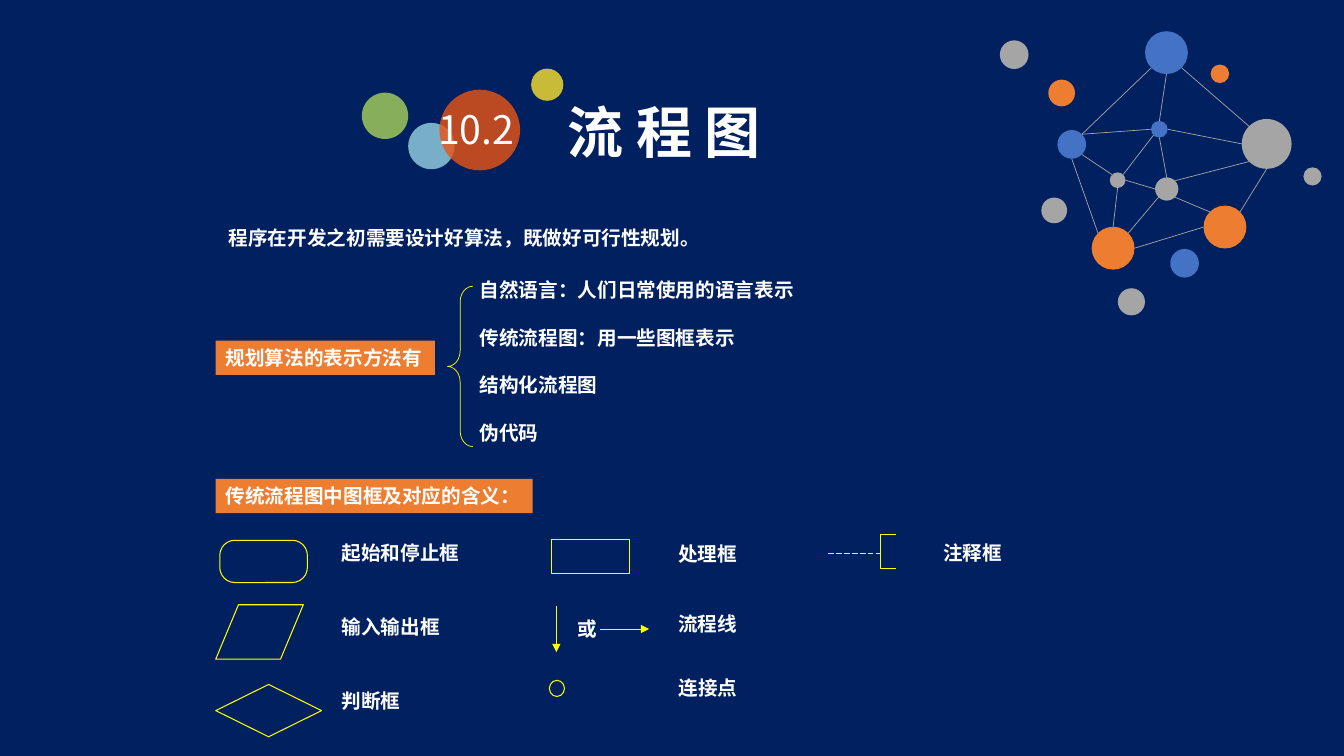
from math import cos, radians, sin

from lxml.etree import SubElement
from pptx import Presentation
from pptx.dml.color import RGBColor
from pptx.enum.dml import MSO_LINE_DASH_STYLE as Dash
from pptx.enum.shapes import MSO_CONNECTOR as Connector, MSO_SHAPE as Shape
from pptx.enum.text import MSO_ANCHOR as Anchor, MSO_AUTO_SIZE as AutoSize, PP_ALIGN as Align
from pptx.oxml.ns import qn
from pptx.util import Pt

FONT = "Noto Sans CJK SC"
COLORS = {
    "navy": "002060", "white": "FFFFFF", "outline": "FFFF00",
    "blue": "4472C4", "orange": "ED7D31", "gray": "A5A5A5",
    "yellow": "FBE22D", "green": "A9D25A", "sky": "98D2E3", "red": "EA5514",
}
ANGLES = {"E": 0, "SE": 45, "S": 90, "SW": 135, "W": 180, "NW": 225, "N": 270, "NE": 315}
LABEL_SIZE = 14
LABEL_HEIGHT = 24.5

TITLE_CIRCLES = [
    (379.4, 49, 23, "yellow"),
    (258.5, 66.2, 33.1, "green"),
    (291.6, 87.8, 33.1, "sky"),
    (313.9, 64.1, 57.6, "red"),
]
NODES = {
    "top": (817.9, 22.3, 30.6, "blue"),
    "base": (779.8, 162, 30.6, "orange"),
    "hub": (825.1, 126.7, 16.6, "gray"),
    "west": (755.3, 92.9, 20.5, "blue"),
    "east": (887, 85, 35.6, "gray"),
    "core": (822.2, 86.4, 11.9, "blue"),
    "southeast": (859.7, 146.9, 30.6, "orange"),
    "dot": (792.7, 123.1, 11.2, "gray"),
}
LOOSE_CIRCLES = [
    (864.7, 46.1, 13.3, "orange"),
    (835.9, 177.8, 20.5, "blue"),
    (748.8, 56.9, 19.1, "orange"),
    (714.2, 28.8, 20.5, "gray"),
    (798.5, 205.9, 19.4, "gray"),
    (743.8, 141.1, 18.4, "gray"),
    (931, 119.5, 13, "gray"),
]
EDGES = [
    ("top", "SE", "east", "NW"), ("hub", "NE", "east", "SW"),
    ("southeast", "NE", "east", "S"), ("base", "NE", "hub", "SW"),
    ("west", "NE", "top", "SW"), ("core", "N", "top", "S"),
    ("east", "W", "core", "E"), ("core", "S", "hub", "N"),
    ("hub", "SE", "southeast", "NW"), ("west", "NE", "core", "W"),
    ("west", "S", "base", "NW"), ("west", "SE", "dot", "NW"),
    ("dot", "NE", "core", "SW"), ("dot", "E", "hub", "W"),
    ("base", "N", "dot", "S"), ("base", "E", "southeast", "W"),
]
METHODS = ["自然语言：人们日常使用的语言表示", "传统流程图：用一些图框表示", "结构化流程图", "伪代码"]
BANNERS = [("规划算法的表示方法有", 243.4), ("传统流程图中图框及对应的含义：", 342)]
SYMBOLS = [
    (Shape.LEFT_BRACE, 319.7, 204.5, 18, 114.5, 0.5, [0.614, 0.5]),
    (Shape.ROUNDED_RECTANGLE, 157, 385.9, 62.6, 30.2, 0.75, [0.358]),
    (Shape.PARALLELOGRAM, 154.1, 432, 62.6, 38.9, 0.75, [0.419]),
    (Shape.DIAMOND, 154.1, 488.9, 75.6, 37.4, 0.75, []),
    (Shape.RECTANGLE, 393.8, 385.2, 56.2, 24.5, 0.75, []),
    (Shape.FLOWCHART_CONNECTOR, 392.4, 486, 10.8, 11.5, 0.75, []),
    (Shape.LEFT_BRACKET, 628.6, 381.6, 11.5, 24.5, 0.5, [0]),
]
SYMBOL_LABELS = [
    ("起始和停止框", 236.9, 383), ("输入输出框", 236.9, 435.6), ("判断框", 236.9, 488.9),
    ("或", 405.4, 437), ("处理框", 477.4, 383.8), ("流程线", 477.4, 433.4),
    ("连接点", 477.7, 479.5), ("注释框", 666.7, 383),
]


def color(name):
    return RGBColor.from_string(COLORS[name])


def paint(fill, name):
    fill.solid()
    fill.fore_color.rgb = color(name)


def add_circle(slide, left, top, diameter, fill, opacity=None):
    circle = slide.shapes.add_shape(Shape.OVAL, Pt(left), Pt(top), Pt(diameter), Pt(diameter))
    circle.shadow.inherit = False
    circle.line.fill.background()
    paint(circle.fill, fill)
    if opacity:
        tint = circle.fill._xPr.find(qn("a:solidFill"))[0]
        SubElement(tint, qn("a:alpha")).set("val", str(opacity * 1000))


def add_symbol(slide, kind, left, top, width, height, weight, adjustments):
    symbol = slide.shapes.add_shape(kind, Pt(left), Pt(top), Pt(width), Pt(height))
    symbol.shadow.inherit = False
    symbol.fill.background()
    paint(symbol.line.fill, "outline")
    symbol.line.width = Pt(weight)
    for index, value in enumerate(adjustments):
        symbol.adjustments[index] = value


def add_line(slide, start, end, stroke, arrow=False, dash=None):
    line = slide.shapes.add_connector(Connector.STRAIGHT, *(Pt(value) for value in (*start, *end)))
    paint(line.line.fill, stroke)
    line.line.width = Pt(0.5)
    if dash:
        line.line.dash_style = dash
    if arrow:
        SubElement(line.line._get_or_add_ln(), qn("a:tailEnd")).set("type", "triangle")
    SubElement(line._element.spPr, qn("a:effectLst"))


def write_text(shape, text, size, bold=True, wrap=False):
    frame = shape.text_frame
    frame.word_wrap = wrap
    frame.auto_size = AutoSize.SHAPE_TO_FIT_TEXT
    frame.vertical_anchor = Anchor.TOP
    paragraph = frame.paragraphs[0]
    paragraph.alignment = Align.CENTER if wrap else Align.LEFT
    run = paragraph.add_run()
    run.text = text
    run.font.size = Pt(size)
    run.font.bold = bold
    run.font.name = FONT
    run.font.color.rgb = color("white")
    SubElement(run.font._element, qn("a:ea")).set("typeface", FONT)
    return frame


def add_label(slide, text, left, top):
    width = LABEL_SIZE * len(text) + 15
    box = slide.shapes.add_textbox(Pt(left), Pt(top), Pt(width), Pt(LABEL_HEIGHT))
    write_text(box, text, LABEL_SIZE)


def add_banner(slide, text, top):
    width = LABEL_SIZE * len(text) + 16.5
    banner = slide.shapes.add_shape(Shape.RECTANGLE, Pt(154.1), Pt(top), Pt(width), Pt(LABEL_HEIGHT))
    banner.shadow.inherit = False
    paint(banner.fill, "orange")
    banner.line.fill.background()
    write_text(banner, text, LABEL_SIZE)


def add_title(slide):
    for circle in TITLE_CIRCLES:
        add_circle(slide, *circle, opacity=80)
    number = slide.shapes.add_textbox(Pt(311), Pt(74.9), Pt(58.3), Pt(33.8))
    frame = write_text(number, "10.2", 28, bold=False, wrap=True)
    frame.margin_left = frame.margin_right = frame.margin_top = frame.margin_bottom = 0
    title = slide.shapes.add_textbox(Pt(398.2), Pt(66.2), Pt(176.4), Pt(55.4))
    write_text(title, "流 程 图", 40)


def rim_point(node, direction):
    left, top, diameter, _ = NODES[node]
    radius, angle = diameter / 2, radians(ANGLES[direction])
    return left + radius * (1 + cos(angle)), top + radius * (1 + sin(angle))


def add_network(slide):
    for circle in [*NODES.values(), *LOOSE_CIRCLES]:
        add_circle(slide, *circle)
    for start, start_side, end, end_side in EDGES:
        add_line(slide, rim_point(start, start_side), rim_point(end, end_side), "gray")


def main():
    presentation = Presentation()
    presentation.slide_width, presentation.slide_height = Pt(960), Pt(540)
    slide = presentation.slides.add_slide(presentation.slide_layouts[6])
    paint(slide.background.fill, "navy")
    add_title(slide)
    add_network(slide)
    add_label(slide, "程序在开发之初需要设计好算法，既做好可行性规划。", 156.2, 157.7)
    for text, top in BANNERS:
        add_banner(slide, text, top)
    for row, text in enumerate(METHODS):
        add_label(slide, text, 335.5, 195.1 + 33.9 * row)
    for symbol in SYMBOLS:
        add_symbol(slide, *symbol)
    add_line(slide, (397.4, 432.7), (397.4, 465.8), "outline", arrow=True)
    add_line(slide, (428.4, 449.3), (463.7, 449.3), "outline", arrow=True)
    add_line(slide, (591.8, 395.3), (628.6, 395.3), "outline", dash=Dash.LONG_DASH)
    for label in SYMBOL_LABELS:
        add_label(slide, *label)
    presentation.save("out.pptx")


if __name__ == "__main__":
    main()
